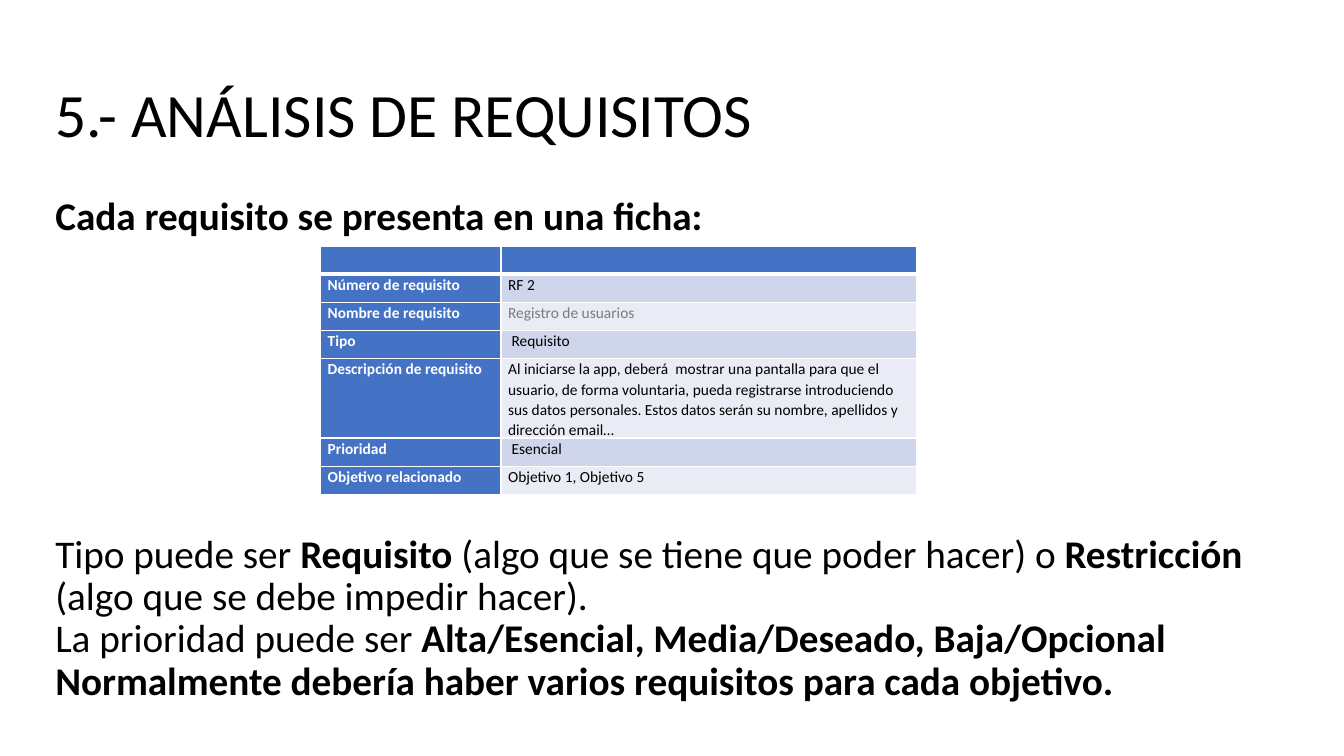
from lxml import etree
from pptx import Presentation
from pptx.dml.color import RGBColor
from pptx.enum.text import MSO_ANCHOR
from pptx.oxml.ns import qn
from pptx.util import Pt

TOP = MSO_ANCHOR.TOP
MIDDLE = MSO_ANCHOR.MIDDLE
EMU_PER_PX = 9144
FONT = "Calibri"
COLORS = {
    "ink": "000000",
    "white": "FFFFFF",
    "muted": "7B7B7B",
    "header": "4472C4",
    "odd": "CFD5EA",
    "even": "E9EBF5",
}

TITLE = "5.- ANÁLISIS DE REQUISITOS"
INTRO = [("Cada requisito se presenta en una ficha:", True)]
NOTES = [
    [
        ("Tipo puede ser ", False),
        ("Requisito ", True),
        ("(algo que se tiene que poder hacer) o ", False),
        ("Restricción ", True),
        ("(algo que se debe impedir hacer).", False),
    ],
    [
        ("La prioridad puede ser ", False),
        ("Alta/Esencial, Media/Deseado, Baja/Opcional", True),
    ],
    [("Normalmente debería haber varios requisitos para cada objetivo.", True)],
]
CARD = [
    ("", ""),
    ("Número de requisito", "RF 2"),
    ("Nombre de requisito", "Registro de usuarios"),
    ("Tipo", " Requisito"),
    (
        "Descripción de requisito",
        "Al iniciarse la app, deberá  mostrar una pantalla para que el usuario, "
        "de forma voluntaria, pueda registrarse introduciendo sus datos personales. "
        "Estos datos serán su nombre, apellidos y dirección email…",
    ),
    ("Prioridad", " Esencial"),
    ("Objetivo relacionado", "Objetivo 1, Objetivo 5"),
]
CARD_COLUMNS = [179, 412]
CARD_ROWS = [28, 28, 28, 28, 75, 28, 28]
MUTED_ROW = 2


def px(length):
    return length * EMU_PER_PX


def add_text(paragraph, text, size, color="ink", bold=False):
    run = paragraph.add_run()
    run.text = text
    run.font.name = FONT
    run.font.size = Pt(size)
    run.font.bold = bold
    run.font.color.rgb = RGBColor.from_string(COLORS[color])


class SlideBuilder:
    def __init__(self, slide):
        self.slide = slide

    def text_block(self, box, paragraphs, size, anchor=TOP, gap_after_first=0):
        frame = self.slide.shapes.add_textbox(*map(px, box)).text_frame
        frame.word_wrap = True
        frame.vertical_anchor = anchor
        frame.margin_left = frame.margin_right = px(10)
        frame.margin_top = frame.margin_bottom = px(10)
        for index, pieces in enumerate(paragraphs):
            paragraph = frame.add_paragraph() if index else frame.paragraphs[0]
            paragraph.line_spacing = 0.9
            paragraph.space_before = Pt(gap_after_first if index == 1 else 0)
            for text, bold in pieces:
                add_text(paragraph, text, size, bold=bold)

    def border(self, cell, side, width):
        properties = cell._tc.get_or_add_tcPr()
        line = etree.SubElement(properties, qn(f"a:ln{side}"), w=str(Pt(width)))
        fill = etree.SubElement(line, qn("a:solidFill"))
        etree.SubElement(fill, qn("a:srgbClr"), val=COLORS["white"])

    def card_cell(self, cell, text, row, column):
        widths = {"L": 1, "R": 1, "T": 3 if row == 1 else 1, "B": 1 if row else 3}
        for side, width in widths.items():
            self.border(cell, side, width)
        is_label = column == 0
        stripe = "odd" if row % 2 else "even"
        background = "header" if is_label or row == 0 else stripe
        cell.fill.solid()
        cell.fill.fore_color.rgb = RGBColor.from_string(COLORS[background])
        cell.margin_left = cell.margin_right = px(7)
        cell.margin_top = cell.margin_bottom = 0
        cell.vertical_anchor = TOP
        paragraph = cell.text_frame.paragraphs[0]
        paragraph.line_spacing = 1.07
        if text:
            value_color = "muted" if row == MUTED_ROW else "ink"
            add_text(paragraph, text, 11, "white" if is_label else value_color, is_label)
        else:
            etree.SubElement(paragraph._p, qn("a:endParaRPr"), sz="1100")

    def card(self, left, top, rows, columns, heights):
        box = (left, top, sum(columns), sum(heights))
        table = self.slide.shapes.add_table(
            len(rows), len(columns), *map(px, box)
        ).table
        for column, width in zip(table.columns, columns):
            column.width = px(width)
        for row, height in zip(table.rows, heights):
            row.height = px(height)
        for row, texts in enumerate(rows):
            for column, text in enumerate(texts):
                self.card_cell(table.cell(row, column), text, row, column)


def main():
    presentation = Presentation()
    presentation.slide_width = px(1333)
    presentation.slide_height = px(750)
    builder = SlideBuilder(
        presentation.slides.add_slide(presentation.slide_layouts[6])
    )
    builder.text_block((45, 65, 1242, 103), [[(TITLE, False)]], 44, MIDDLE)
    builder.text_block((45, 185, 1242, 482), [INTRO, *NOTES], 28, gap_after_first=211)
    builder.card(318, 244, CARD, CARD_COLUMNS, CARD_ROWS)
    presentation.save("out.pptx")


if __name__ == "__main__":
    main()
